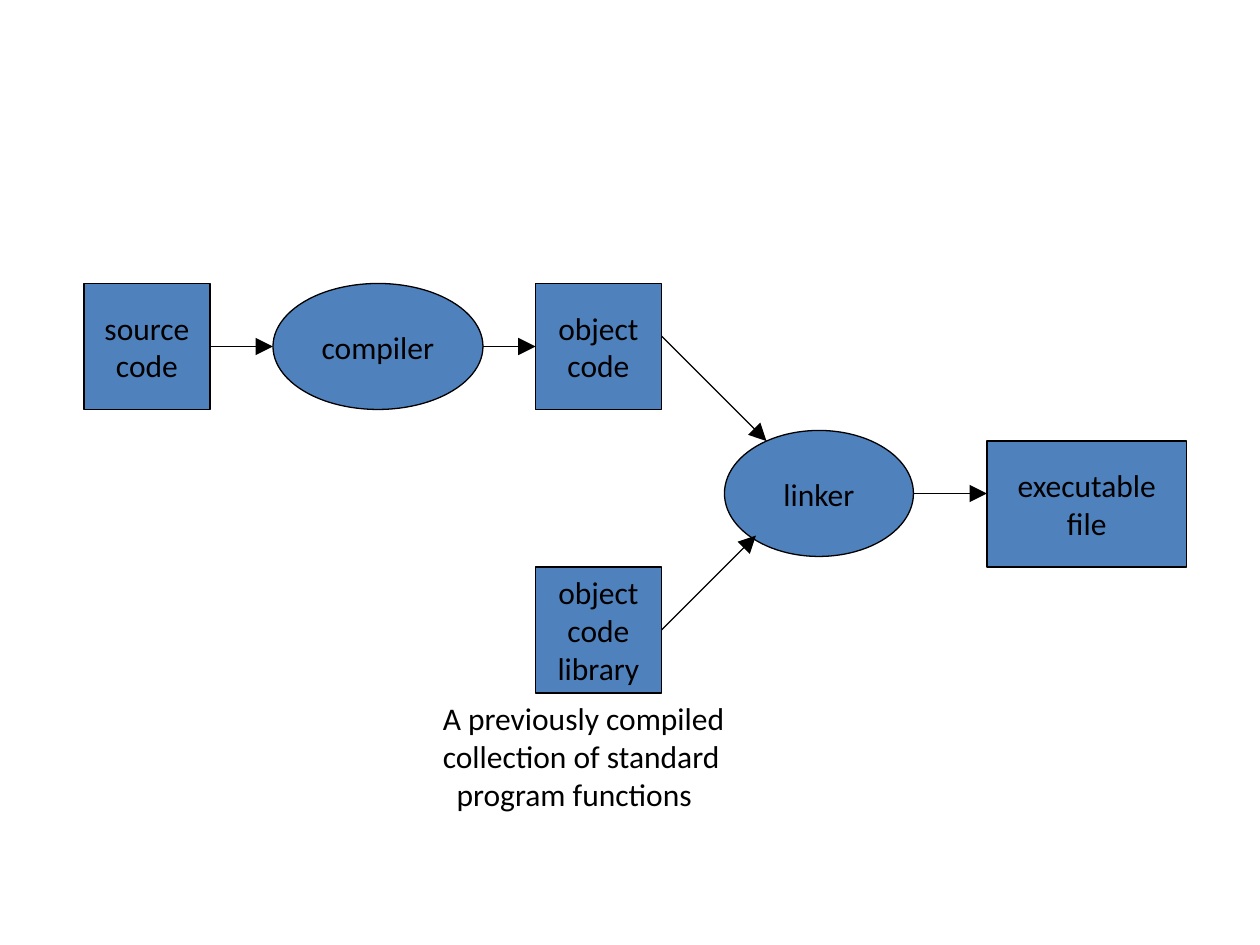
"""Build a slide showing how source code becomes an executable file."""
from pptx import Presentation
from pptx.dml.color import RGBColor
from pptx.enum.shapes import MSO_CONNECTOR, MSO_SHAPE
from pptx.enum.text import MSO_ANCHOR, PP_ALIGN
from pptx.oxml.ns import qn
from pptx.util import Inches, Pt
from lxml import etree

RECT, OVAL = MSO_SHAPE.RECTANGLE, MSO_SHAPE.OVAL
STRAIGHT = MSO_CONNECTOR.STRAIGHT
CENTER, LEFT = PP_ALIGN.CENTER, PP_ALIGN.LEFT
MIDDLE, TOP = MSO_ANCHOR.MIDDLE, MSO_ANCHOR.TOP

WIDTH, HEIGHT = Inches(10), Inches(7.5)
COLUMNS, ROWS = 120, 90
BLUE, BLACK = "4F81BD", "000000"
FONT = {"name": "Calibri", "size": Pt(18)}
HEAD = {"type": "triangle", "w": "lg", "len": "lg"}

STAGES = [
    (RECT, (8, 27, 12, 12), ["source", "code"]),
    (RECT, (51, 27, 12, 12), ["object", "code"]),
    (RECT, (51, 54, 12, 12), ["object", "code", "library"]),
    (RECT, (94, 42, 19, 12), ["executable", "file"]),
    (OVAL, (26, 27, 20, 12), ["compiler"]),
    (OVAL, (69, 41, 18, 12), ["linker"]),
]
ARROWS = [
    (20, 33, 26, 33),
    (46, 33, 51, 33),
    (63, 32, 73, 42),
    (63, 60, 72, 51),
    (87, 47, 94, 47),
]
CAPTION = ["A previously compiled", "collection of standard", "program functions"]
CAPTION_BOX = (41, 66, 31.5, 12)
LAST_LINE_INDENT = Inches(0.11)


def rgb(value):
    return RGBColor.from_string(value)


def grid(a, b, c, d):
    cell_w, cell_h = WIDTH / COLUMNS, HEIGHT / ROWS
    return [round(n) for n in (a * cell_w, b * cell_h, c * cell_w, d * cell_h)]


def outline(line):
    line.color.rgb = rgb(BLACK)
    line.width = Pt(0.75)


def write(tf, lines, align, anchor):
    tf.word_wrap = True
    tf.vertical_anchor = anchor
    for i, text in enumerate(lines):
        p = tf.paragraphs[0] if i == 0 else tf.add_paragraph()
        p.alignment = align
        r = p.add_run()
        r.text = text
        for key, value in FONT.items():
            setattr(r.font, key, value)
        r.font.color.rgb = rgb(BLACK)


def add_stage(s, kind, box, lines):
    sp = s.shapes.add_shape(kind, *grid(*box))
    sp.shadow.inherit = False
    sp.fill.solid()
    sp.fill.fore_color.rgb = rgb(BLUE)
    outline(sp.line)
    write(sp.text_frame, lines, CENTER, MIDDLE)


def add_arrow(s, ends):
    cx = s.shapes.add_connector(STRAIGHT, *grid(*ends))
    outline(cx.line)
    etree.SubElement(cx.line._get_or_add_ln(), qn("a:tailEnd"), HEAD)
    etree.SubElement(cx._element.spPr, qn("a:effectLst"))


def add_caption(s):
    tf = s.shapes.add_textbox(*grid(*CAPTION_BOX)).text_frame
    write(tf, CAPTION, LEFT, TOP)
    tf.paragraphs[-1]._p.get_or_add_pPr().set("marL", str(LAST_LINE_INDENT))


def main():
    prs = Presentation()
    prs.slide_width, prs.slide_height = WIDTH, HEIGHT
    s = prs.slides.add_slide(prs.slide_layouts[6])
    for stage in STAGES:
        add_stage(s, *stage)
    for ends in ARROWS:
        add_arrow(s, ends)
    add_caption(s)
    prs.save("out.pptx")


if __name__ == "__main__":
    main()
